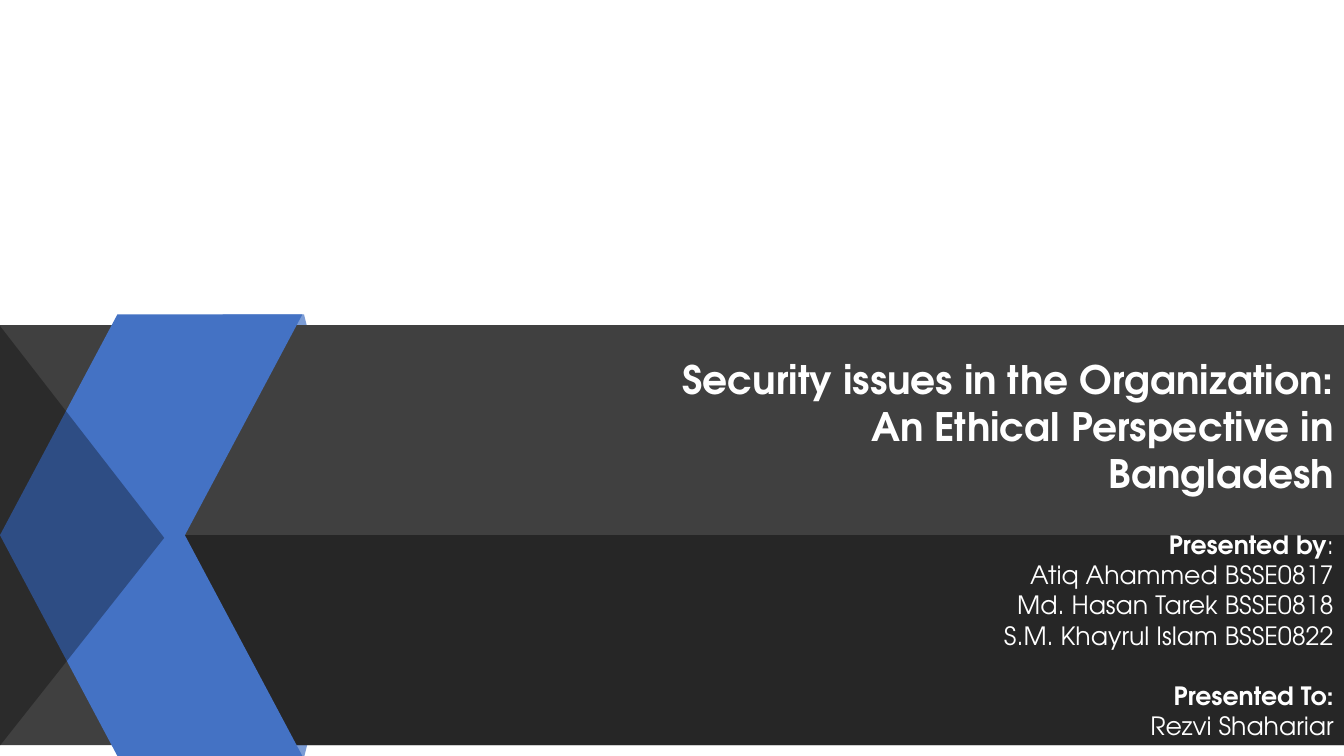
from dataclasses import dataclass

from lxml.etree import SubElement
from pptx import Presentation
from pptx.dml.color import RGBColor
from pptx.enum.shapes import MSO_SHAPE
from pptx.enum.text import MSO_ANCHOR, PP_ALIGN
from pptx.oxml.ns import qn
from pptx.slide import Slide
from pptx.util import Pt

FONT = "TeX Gyre Adventor"
BLUE, GREY, DARK, BLACK, WHITE = "4472C4", "404040", "262626", "000000", "FFFFFF"

SLIDE_WIDTH, SLIDE_HEIGHT = 960, 540
FOLD = 382.3  # height at which the ribbon folds and the bands meet
BAND_HEIGHT = 150
RIBBON_WIDTH, RIBBON_HEIGHT = 216, SLIDE_HEIGHT - FOLD
RIBBON_TOP = FOLD - RIBBON_HEIGHT


@dataclass
class Block:
    kind: MSO_SHAPE
    left: float
    top: float
    width: float
    height: float
    color: str
    opacity: int = 100
    slant: float | None = None
    flip: str = ""
    rotation: float = 0


@dataclass
class Run:
    text: str
    bold: bool = False


@dataclass
class Line:
    runs: list[Run]
    space_before: float = 0


@dataclass
class TextBlock:
    left: float
    top: float
    width: float
    height: float
    size: float
    lines: list[Line]


BLOCKS = [
    # Ribbon tips behind the bands
    Block(MSO_SHAPE.PARALLELOGRAM, 162.7, 519.8, 59.8, 20.2, BLUE, opacity=70),
    Block(MSO_SHAPE.PARALLELOGRAM, 159.1, RIBBON_TOP, 62.6, 18, BLUE, opacity=70, flip="flipH"),
    # Bands
    Block(MSO_SHAPE.RECTANGLE, 0, FOLD - BAND_HEIGHT, SLIDE_WIDTH, 2 * BAND_HEIGHT, GREY),
    Block(MSO_SHAPE.RECTANGLE, 117.4, FOLD, SLIDE_WIDTH - 117.4, BAND_HEIGHT, DARK),
    # Folded ribbon
    Block(MSO_SHAPE.PARALLELOGRAM, 0, RIBBON_TOP, RIBBON_WIDTH, RIBBON_HEIGHT, BLUE, slant=0.532),
    Block(MSO_SHAPE.PARALLELOGRAM, 0, FOLD, RIBBON_WIDTH, RIBBON_HEIGHT, BLUE, slant=0.532, flip="flipV"),
    # Shade pointing right
    Block(MSO_SHAPE.ISOSCELES_TRIANGLE, -91.4, 324, 300, 117.4, BLACK, opacity=32, slant=0.505, rotation=90),
]

TEXT_BLOCKS = [
    TextBlock(452.2, 247, 507.6, 113.8, 28, [
        Line([Run("Security issues in the Organization: An Ethical Perspective in Bangladesh", True)]),
    ]),
    TextBlock(506.2, 399.6, 453.6, 108, 18, [
        Line([Run("Presented by", True), Run(":")]),
        Line([Run("Atiq Ahammed BSSE0817")]),
        Line([Run("Md. Hasan Tarek BSSE0818")]),
        Line([Run("S.M. Khayrul Islam BSSE0822")]),
        Line([Run("Presented To:", True)], space_before=21.6),
        Line([Run("Rezvi Shahariar")]),
    ]),
]


def rgb(color: str) -> RGBColor:
    return RGBColor.from_string(color)


def draw_block(slide: Slide, block: Block) -> None:
    shape = slide.shapes.add_shape(
        block.kind, Pt(block.left), Pt(block.top), Pt(block.width), Pt(block.height))
    shape.shadow.inherit = False
    shape.line.fill.background()
    shape.fill.solid()
    shape.fill.fore_color.rgb = rgb(block.color)
    shape.rotation = block.rotation
    if block.slant is not None:
        shape.adjustments[0] = block.slant
    if block.flip:
        shape.element.spPr.find(qn("a:xfrm")).set(block.flip, "1")
    if block.opacity < 100:
        color = shape.element.spPr.find(qn("a:solidFill")).find(qn("a:srgbClr"))
        SubElement(color, qn("a:alpha")).set("val", str(block.opacity * 1000))


def draw_text(slide: Slide, block: TextBlock) -> None:
    shape = slide.shapes.add_textbox(
        Pt(block.left), Pt(block.top), Pt(block.width), Pt(block.height))
    frame = shape.text_frame
    frame.word_wrap = True
    frame.vertical_anchor = MSO_ANCHOR.MIDDLE
    for index, line in enumerate(block.lines):
        paragraph = frame.add_paragraph() if index else frame.paragraphs[0]
        paragraph.alignment = PP_ALIGN.RIGHT
        paragraph.space_before = Pt(line.space_before)
        for part in line.runs:
            run = paragraph.add_run()
            run.text = part.text
            run.font.name = FONT
            run.font.size = Pt(block.size)
            run.font.bold = part.bold
            run.font.color.rgb = rgb(WHITE)


def main() -> None:
    presentation = Presentation()
    presentation.slide_width = Pt(SLIDE_WIDTH)
    presentation.slide_height = Pt(SLIDE_HEIGHT)
    slide = presentation.slides.add_slide(presentation.slide_layouts[6])
    for block in BLOCKS:
        draw_block(slide, block)
    for text_block in TEXT_BLOCKS:
        draw_text(slide, text_block)
    presentation.save("out.pptx")


if __name__ == "__main__":
    main()
